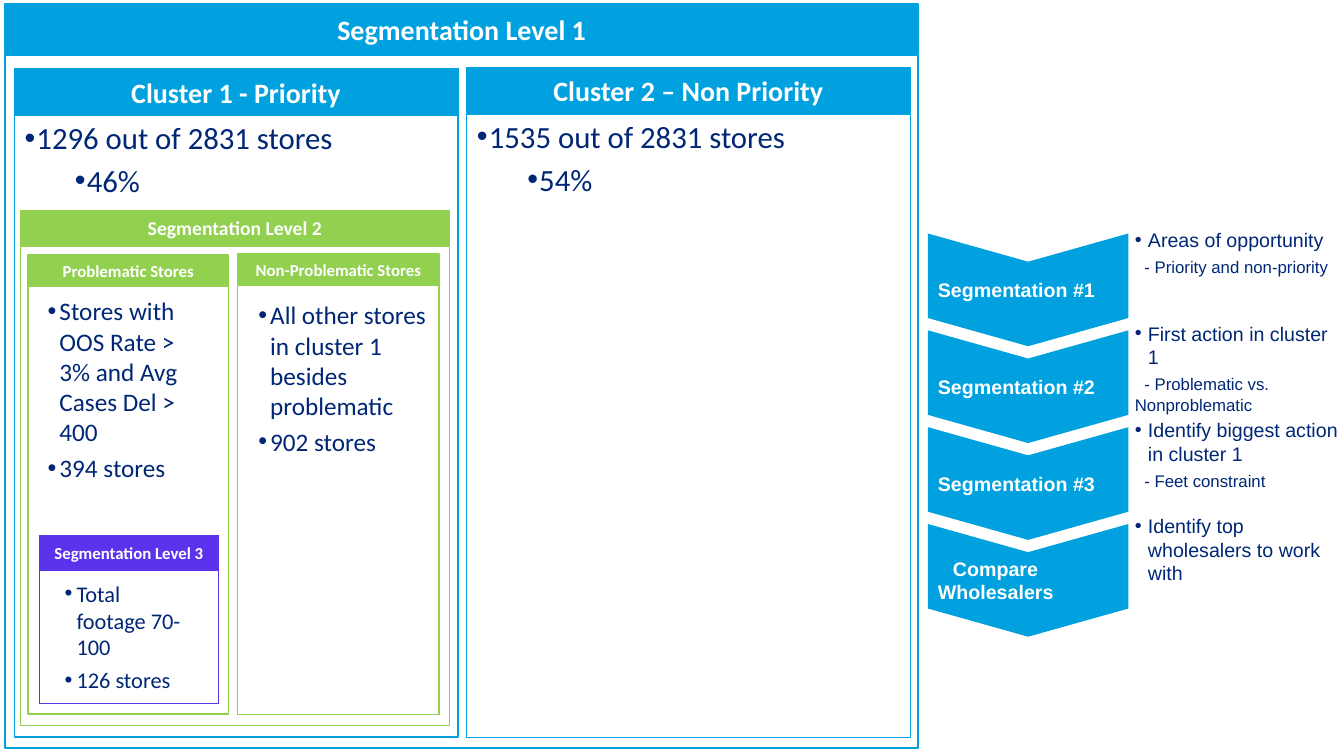
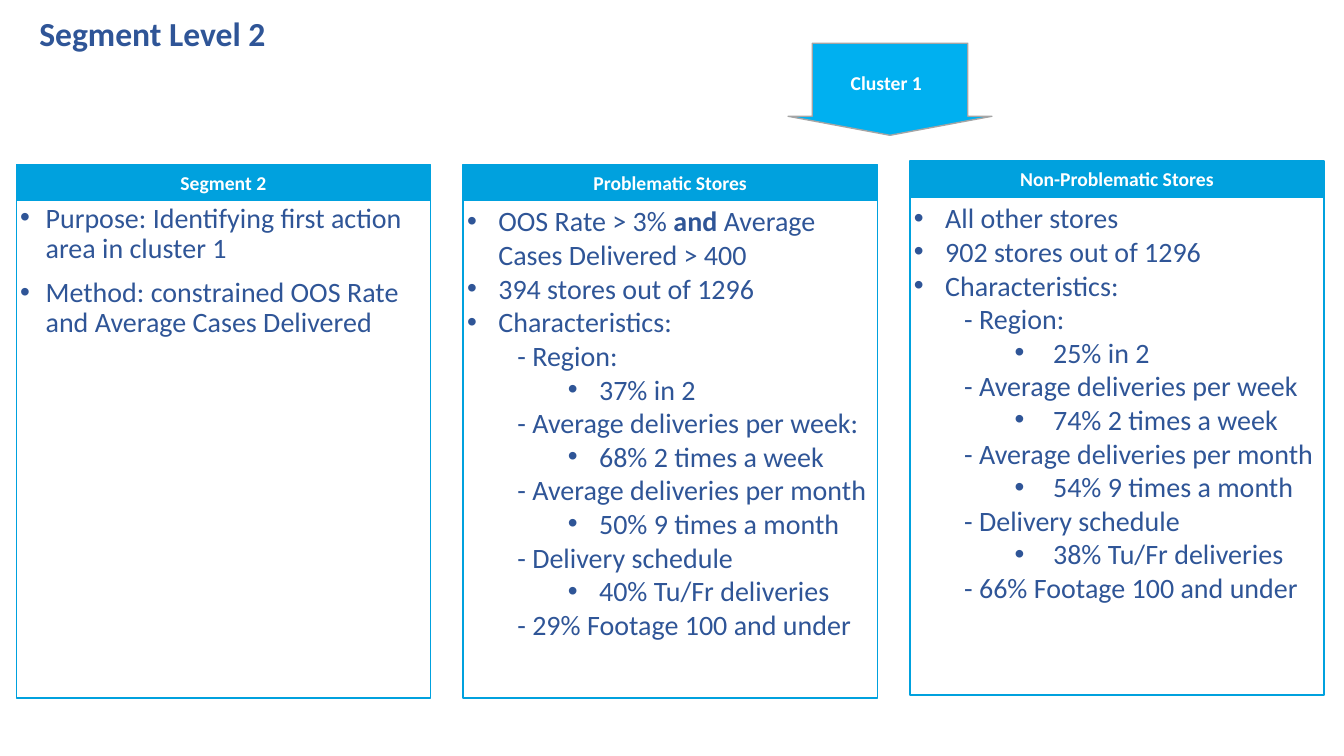
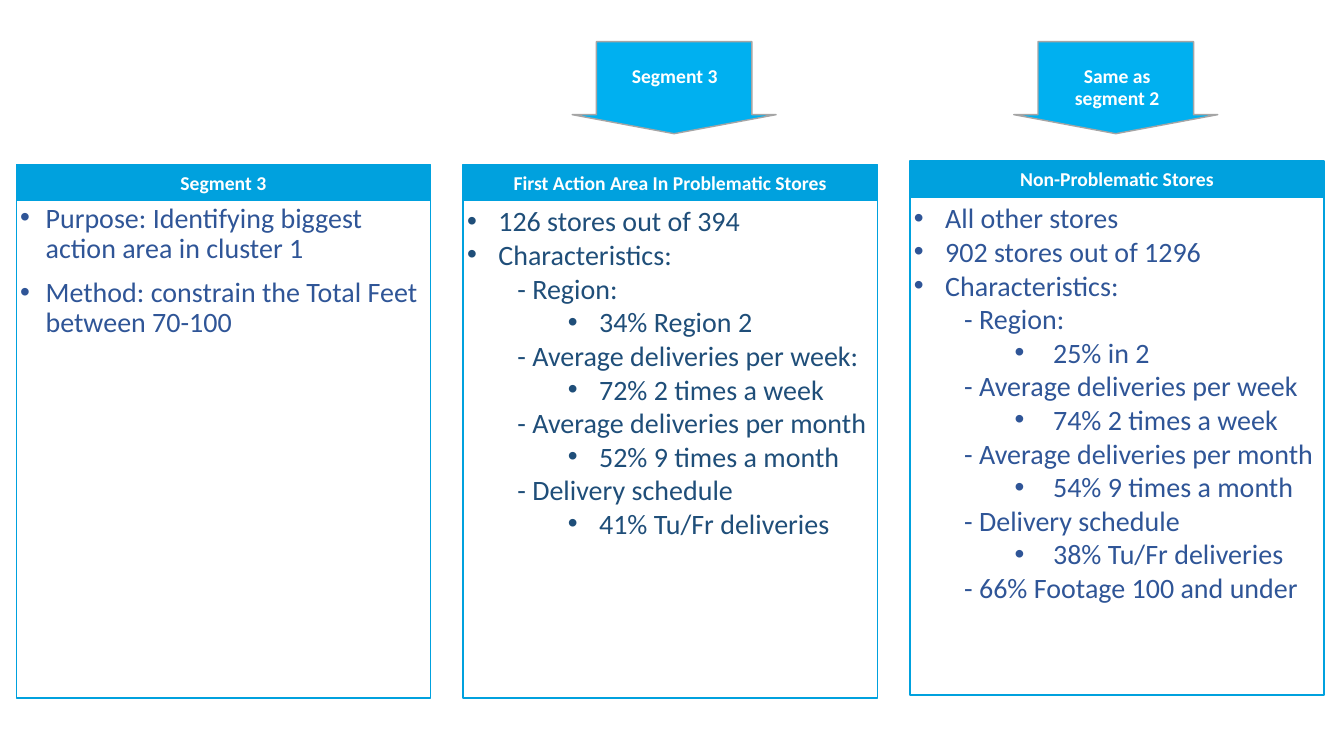
from dataclasses import dataclass
from typing import NamedTuple

from lxml.etree import SubElement
from pptx import Presentation
from pptx.dml.color import RGBColor
from pptx.enum.shapes import MSO_SHAPE
from pptx.enum.text import MSO_ANCHOR, PP_ALIGN
from pptx.oxml.ns import qn
from pptx.shapes.autoshape import Shape
from pptx.slide import Slide
from pptx.text.text import TextFrame
from pptx.util import Cm, Pt

BLUE = RGBColor(0x00, 0xA1, 0xDE)
SKY = RGBColor(0x00, 0xB0, 0xF0)
GREEN = RGBColor(0x92, 0xD0, 0x50)
PURPLE = RGBColor(0x5B, 0x33, 0xED)
GREY = RGBColor(0xA5, 0xA5, 0xA5)
WHITE = RGBColor(0xFF, 0xFF, 0xFF)
NAVY = RGBColor(0x00, 0x27, 0x76)
INDIGO = RGBColor(0x2F, 0x55, 0x97)
TEAL = RGBColor(0x1F, 0x4E, 0x79)


class Style(NamedTuple):
    left: float = 0
    first: float = 0
    level: int = 0
    bullet: bool = False
    before: float = 0
    spacing: float = 1.0
    size: float | None = None


class Line(NamedTuple):
    text: str
    style: Style = Style()


class Box(NamedTuple):
    left: float
    top: float
    width: float
    height: float


@dataclass(frozen=True)
class Panel:
    title: str
    header: Box
    body: Box
    color: RGBColor = BLUE
    title_size: float = 14
    lines: tuple[Line, ...] = ()
    body_size: float = 20
    text_color: RGBColor = INDIGO


@dataclass(frozen=True)
class TextBlock:
    box: Box
    lines: tuple[Line, ...]
    size: float


@dataclass(frozen=True)
class Step:
    label: str
    note: Box
    lines: tuple[Line, ...]
    label_indent: float = 0


@dataclass(frozen=True)
class Arrow:
    tip: float
    top: float
    text: str
    label: Box
    align: PP_ALIGN = PP_ALIGN.CENTER


HEADING = Style(before=4)
POINT = Style(0.46, -0.3, 1, True, 4)
SUBPOINT = Style(1.73, -0.3, 2, True, 4)
NOTE = Style(0.33, -0.33, 1, True, 4)
SUBNOTE = Style(0, 0.24, 1, before=4, size=12)
SUMMARY = Style(0.64, -0.64, 0, True, 10, 0.9)
FACT = Style(0.79, -0.79, 0, True)
TRAIT = Style(1.27, 0, 1)
VALUE = Style(3.33, -0.79, 2, True)
WIDE_VALUE = Style(3.51, -0.97, 2, True)
TIGHT = Style(spacing=0.95)


def write(frame: TextFrame, lines: tuple[Line, ...], *, size: float,
          color: RGBColor, font: str = "Calibri", bold: bool = False,
          align: PP_ALIGN = PP_ALIGN.LEFT,
          anchor: MSO_ANCHOR = MSO_ANCHOR.TOP,
          inset: tuple[float, float] = (0.1, 0.1)) -> None:
    frame.word_wrap = True
    frame.vertical_anchor = anchor
    frame.margin_left = frame.margin_right = Cm(inset[0])
    frame.margin_top = frame.margin_bottom = Cm(inset[1])
    for index, (text, style) in enumerate(lines):
        paragraph = frame.add_paragraph() if index else frame.paragraphs[0]
        paragraph.alignment = align
        paragraph.level = style.level
        paragraph.space_before = Pt(style.before)
        paragraph.line_spacing = style.spacing
        properties = paragraph._p.get_or_add_pPr()
        properties.set("marL", str(Cm(style.left)))
        properties.set("indent", str(Cm(style.first)))
        if style.bullet:
            SubElement(properties, qn("a:buFont")).set("typeface", "Arial")
            SubElement(properties, qn("a:buChar")).set("char", "•")
        for part, words in enumerate(text.split("*")):
            run = paragraph.add_run()
            run.text = words
            run.font.name = font
            run.font.size = Pt(style.size or size)
            run.font.bold = bold or part % 2 == 1
            run.font.color.rgb = color


def paint(shape: Shape, fill: RGBColor | None,
          line: RGBColor | None) -> Shape:
    shape.shadow.inherit = False
    if fill is None:
        shape.fill.background()
    else:
        shape.fill.solid()
        shape.fill.fore_color.rgb = fill
    if line is None:
        shape.line.fill.background()
    else:
        shape.line.color.rgb = line
        shape.line.width = Pt(1)
    return shape


def add_rectangle(slide: Slide, box: Box, fill: RGBColor | None,
                  line: RGBColor | None) -> Shape:
    return paint(slide.shapes.add_shape(MSO_SHAPE.RECTANGLE, *map(Cm, box)),
                 fill, line)


def add_panel(slide: Slide, panel: Panel) -> None:
    header = add_rectangle(slide, panel.header, panel.color, panel.color)
    write(header.text_frame, (Line(panel.title, HEADING),),
          size=panel.title_size, color=WHITE, bold=True,
          align=PP_ALIGN.CENTER, anchor=MSO_ANCHOR.MIDDLE)
    body = add_rectangle(slide, panel.body, None, panel.color)
    if panel.lines:
        write(body.text_frame, panel.lines, size=panel.body_size,
              color=panel.text_color)


def add_text_block(slide: Slide, block: TextBlock, *, font: str = "Calibri",
                   inset: tuple[float, float] = (0.25, 0.13)) -> None:
    frame = slide.shapes.add_textbox(*map(Cm, block.box)).text_frame
    write(frame, block.lines, size=block.size, color=NAVY, font=font,
          inset=inset)


def add_step(slide: Slide, step: Step, position: int) -> None:
    chevron = paint(slide.shapes.add_shape(
        MSO_SHAPE.CHEVRON, Cm(24.49), Cm(4.78 + 2.44 * position),
        Cm(2.84), Cm(5.05)), BLUE, None)
    chevron.rotation = 90
    chevron.adjustments[0] = 0.25
    frame = chevron.text_frame
    write(frame, (Line(step.label, Style(first=step.label_indent)),),
          size=14, color=WHITE, font="Arial", bold=True,
          anchor=MSO_ANCHOR.MIDDLE, inset=(0.25, 0.25))
    frame._txBody.bodyPr.set("vert", "vert270")
    add_text_block(slide, TextBlock(step.note, step.lines, 14),
                   font="Arial", inset=(0, 0))


def add_arrow(slide: Slide, arrow: Arrow) -> None:
    stem, wing, shoulder, depth = 1.96, 2.57, 1.84, 2.32
    offsets = ((stem, 0), (stem, shoulder), (wing, shoulder), (0, depth),
               (-wing, shoulder), (-stem, shoulder), (-stem, 0))
    corners = [(Cm(arrow.tip + x), Cm(arrow.top + y)) for x, y in offsets]
    outline = slide.shapes.build_freeform(*corners[0], scale=1.0)
    outline.add_line_segments(corners[1:], close=True)
    paint(outline.convert_to_shape(), SKY, GREY)
    label = add_rectangle(slide, arrow.label, SKY, None)
    write(label.text_frame, (Line(arrow.text, TIGHT),), size=14, color=WHITE,
          bold=True, align=arrow.align, inset=(0, 0))


def column(position: int, title: str, lines: tuple[Line, ...],
           color: RGBColor = INDIGO) -> Panel:
    left = 0.41 + 11.26 * position
    top = 4.06 if position == 2 else 4.14
    return Panel(title, Box(left, top, 10.44, 0.91),
                 Box(left, top + 0.9, 10.44, 12.55),
                 lines=lines, text_color=color)


def styled(style: Style, *texts: str) -> tuple[Line, ...]:
    return tuple(Line(text, style) for text in texts)


def traits(values: tuple[str, str, str, str], *, week: str,
           value_style: Style = VALUE) -> tuple[Line, ...]:
    names = ("- Region:", week, "- Average deliveries per month",
             "- Delivery schedule")
    return tuple(line for name, value in zip(names, values)
                 for line in (Line(name, TRAIT), Line(value, value_style)))


LEVELS = (
    Panel("Cluster 1 - Priority", Box(0.36, 1.73, 11.18, 1.17),
          Box(0.36, 2.9, 11.18, 15.67), title_size=20, body_size=22,
          text_color=NAVY, lines=(Line("1296 out of 2831 stores", POINT),
                                  Line("46%", SUBPOINT))),
    Panel("Segmentation Level 1", Box(0.13, 0.1, 23.01, 1.27),
          Box(0.13, 1.4, 23.01, 17.45), title_size=20),
    Panel("Segmentation Level 2", Box(0.51, 5.31, 10.82, 0.86),
          Box(0.51, 6.2, 10.82, 12.09), GREEN),
    Panel("Problematic Stores", Box(0.71, 6.43, 5.05, 0.79),
          Box(0.71, 7.19, 5.05, 10.8), GREEN, 12),
    Panel("Non-Problematic Stores", Box(5.99, 6.4, 5.08, 0.79),
          Box(5.99, 7.19, 5.08, 10.82), GREEN, 12),
    Panel("Segmentation Level 3", Box(0.99, 13.51, 4.52, 0.86),
          Box(0.99, 13.51, 4.52, 4.22), PURPLE, 12),
    Panel("Cluster 2 – Non Priority", Box(11.76, 1.7, 11.18, 1.14),
          Box(11.76, 2.87, 11.18, 15.72), title_size=20, body_size=22,
          text_color=NAVY, lines=(Line("1535 out of 2831 stores", POINT),
                                  Line("54%", SUBPOINT))),
)
CRITERIA = (
    TextBlock(Box(0.79, 7.32, 4.6, 5), styled(
        POINT, "Stores with OOS Rate > 3% and Avg Cases Del > 400",
        "394 stores"), 18),
    TextBlock(Box(6.1, 7.42, 4.95, 4.24), styled(
        POINT, "All other stores in cluster 1 besides problematic",
        "902 stores"), 18),
    TextBlock(Box(1.22, 14.48, 3.71, 3.12), styled(
        POINT, "Total footage 70-100", "126 stores"), 16),
)
STEPS = (
    Step("Segmentation #1", Box(28.6, 5.74, 4.98, 2.01),
         (Line("Areas of opportunity", NOTE),
          Line("- Priority and non-priority", SUBNOTE))),
    Step("Segmentation #2", Box(28.6, 8.1, 5.28, 1.78),
         (Line("First action in cluster 1", NOTE),
          Line("- Problematic vs. Nonproblematic", SUBNOTE))),
    Step("Segmentation #3", Box(28.6, 10.54, 5.28, 1.85),
         (Line("Identify biggest action in cluster 1", NOTE),
          Line("- Feet constraint", SUBNOTE))),
    Step("Compare Wholesalers", Box(28.6, 12.95, 4.98, 1.8),
         (Line("Identify top wholesalers to work with", NOTE),), 0.38),
)
NON_PROBLEMATIC = column(
    2, "Non-Problematic Stores",
    styled(FACT, "All other stores", "902 stores out of 1296",
           "Characteristics:")
    + traits(("25% in 2", "74% 2 times a week", "54% 9 times a month",
              "38% Tu/Fr deliveries"),
             week="- Average deliveries per week", value_style=WIDE_VALUE)
    + styled(TRAIT, "- 66% Footage 100 and under"))
SEGMENT_2 = (
    column(0, "Segment 2", styled(
        SUMMARY, "Purpose: Identifying first action area in cluster 1",
        "Method: constrained OOS Rate and Average Cases Delivered")),
    column(1, "Problematic Stores",
           styled(FACT, "OOS Rate > 3% *and *Average Cases Delivered > 400",
                  "394 stores out of 1296", "Characteristics:")
           + traits(("37% in 2", "68% 2 times a week", "50% 9 times a month",
                     "40% Tu/Fr deliveries"),
                    week="- Average deliveries per week:")
           + styled(TRAIT, "- 29% Footage 100 and under")),
    NON_PROBLEMATIC,
)
SEGMENT_3 = (
    column(0, "Segment 3", styled(
        SUMMARY, "Purpose: Identifying biggest action area in cluster 1",
        "Method: constrain the Total Feet between 70-100")),
    column(1, "First Action Area In Problematic Stores",
           styled(FACT, "126 stores out of 394", "Characteristics:")
           + traits(("34% Region 2", "72% 2 times a week",
                     "52% 9 times a month", "41% Tu/Fr deliveries"),
                    week="- Average deliveries per week:"), TEAL),
    NON_PROBLEMATIC,
)
SEGMENT_2_ARROWS = (
    Arrow(22.43, 1.09, "Cluster 1", Box(21.44, 1.83, 2.01, 0.56),
          PP_ALIGN.LEFT),
)
SEGMENT_3_ARROWS = (
    Arrow(28.12, 1.05, "Same as segment 2", Box(26.87, 1.65, 2.57, 1.14)),
    Arrow(16.99, 1.05, "Segment 3", Box(15.72, 1.65, 2.57, 0.56)),
)


def add_title(slide: Slide, text: str) -> None:
    title = slide.shapes.title
    title.left, title.top, title.width, title.height = map(
        Cm, Box(0.74, 0.43, 29.21, 0.94))
    write(title.text_frame, (Line(text, Style(spacing=0.9)),), size=24,
          color=INDIGO, bold=True, anchor=MSO_ANCHOR.MIDDLE,
          inset=(0.25, 0.13))


def fill_segment(slide: Slide, panels: tuple[Panel, ...],
                 arrows: tuple[Arrow, ...]) -> None:
    for panel in panels:
        add_panel(slide, panel)
    for arrow in arrows:
        add_arrow(slide, arrow)


def main() -> None:
    deck = Presentation()
    deck.slide_width, deck.slide_height = Cm(33.87), Cm(19.05)
    title_only, blank = deck.slide_layouts[5], deck.slide_layouts[6]

    overview = deck.slides.add_slide(blank)
    for panel in LEVELS:
        add_panel(overview, panel)
    for block in CRITERIA:
        add_text_block(overview, block)
    for position, step in enumerate(STEPS):
        add_step(overview, step, position)

    second = deck.slides.add_slide(title_only)
    add_title(second, "Segment Level 2")
    fill_segment(second, SEGMENT_2, SEGMENT_2_ARROWS)

    third = deck.slides.add_slide(blank)
    fill_segment(third, SEGMENT_3, SEGMENT_3_ARROWS)

    deck.save("out.pptx")


main()
